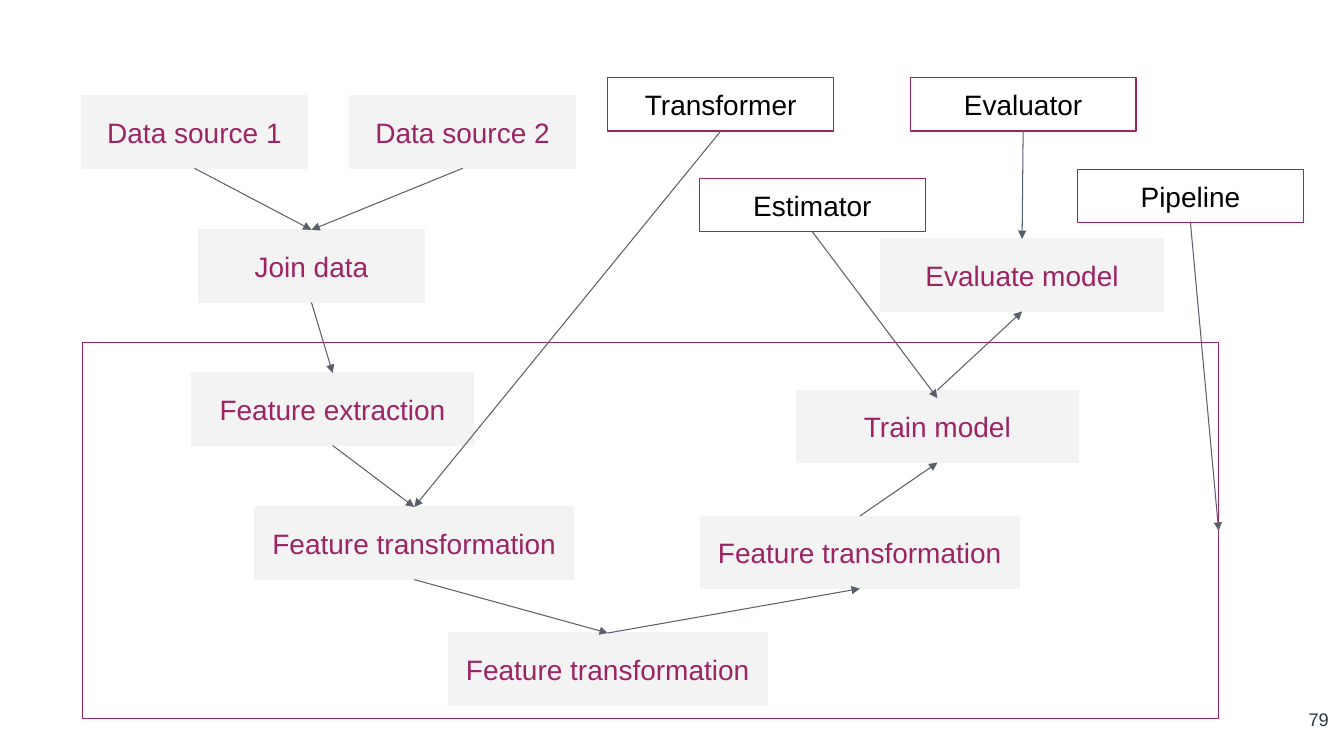
"""Build the machine learning pipeline slide."""
from dataclasses import dataclass
from typing import Optional

from lxml import etree
from pptx import Presentation
from pptx import util as u
from pptx.dml.color import RGBColor
from pptx.enum import shapes, text
from pptx.oxml.ns import qn

PLUM = RGBColor(0x9D, 0x24, 0x63)
PALE = RGBColor(0xF3, 0xF3, 0xF3)
SLATE = RGBColor(0x59, 0x60, 0x6C)
INK = RGBColor(0x2E, 0x36, 0x44)
BLACK = RGBColor(0, 0, 0)

CELL = u.Inches(0.1)
COLUMNS, ROWS = 133.33, 75
NARROW, MEDIUM, WIDE = 22.4, 28, 31.6
STEP_ROWS, LABEL_ROWS = 7.2, 5.3
TOP, BOTTOM, RIGHT = 0, 2, 3


@dataclass(frozen=True)
class Box:
    key: str
    caption: str
    column: float
    row: float
    columns: float = NARROW
    rows: float = STEP_ROWS
    fill: Optional[RGBColor] = PALE
    line: RGBColor = PALE
    ink: RGBColor = PLUM
    preset: shapes.MSO_SHAPE = shapes.MSO_SHAPE.FLOWCHART_PROCESS


@dataclass(frozen=True)
class Link:
    start: str
    end: str
    end_side: int = TOP
    start_side: int = BOTTOM
    inset: float = 0


def label(caption: str, column: float, row: float) -> Box:
    """Describe an outlined label for a pipeline concept."""
    return Box(caption, caption, column, row, rows=LABEL_ROWS,
               fill=None, line=PLUM, ink=BLACK)


STEPS = [
    Box("source 1", "Data source 1", 8.1, 9.5),
    Box("source 2", "Data source 2", 34.7, 9.5),
    Box("join", "Join data", 19.7, 22.8),
    Box("extract", "Feature extraction", 19, 37, MEDIUM),
    Box("transform 1", "Feature transformation", 25.3, 50.3, WIDE),
    Box("transform 2", "Feature transformation", 44.5, 62.8, WIDE),
    Box("transform 3", "Feature transformation", 69.5, 51.2, WIDE),
    Box("train", "Train model", 79, 38.7, MEDIUM),
    Box("evaluate", "Evaluate model", 87.4, 23.7, MEDIUM),
]
STEP_LINKS = [
    Link("source 1", "join"),
    Link("source 2", "join"),
    Link("join", "extract"),
    Link("extract", "transform 1"),
    Link("transform 1", "transform 2"),
    Link("transform 2", "transform 3", BOTTOM, TOP),
    Link("transform 3", "train", BOTTOM, TOP),
    Link("train", "evaluate", BOTTOM, TOP),
]
FRAME = Box("frame", "", 8.2, 34, 112.7, 37.3, fill=None, line=PLUM,
            preset=shapes.MSO_SHAPE.RECTANGLE)
LABELS = [
    label("Transformer", 60.3, 7.7),
    label("Estimator", 69.4, 17.7),
    label("Evaluator", 90.3, 7.7),
    label("Pipeline", 106.9, 16.8),
]
LABEL_LINKS = [
    Link("Transformer", "transform 1"),
    Link("Estimator", "train", inset=0.8),
    Link("Evaluator", "evaluate"),
    Link("Pipeline", "frame", RIGHT),
]


def cells(*counts: float) -> list[int]:
    """Convert grid counts to slide lengths."""
    return [round(count * CELL) for count in counts]


def write(shape, caption: str, *, size: float, color: RGBColor,
          align=text.PP_ALIGN.CENTER, anchor=text.MSO_ANCHOR.MIDDLE) -> None:
    """Put formatted text in a shape."""
    frame = shape.text_frame
    frame.word_wrap = True
    frame.vertical_anchor = anchor
    frame.margin_left = frame.margin_right = CELL
    frame.margin_top = frame.margin_bottom = CELL
    paragraph = frame.paragraphs[0]
    paragraph.alignment = align
    run = paragraph.add_run()
    run.text = caption
    run.font.name = "Arial"
    run.font.size = u.Pt(size)
    run.font.color.rgb = color


def draw_box(slide, box: Box):
    """Draw one box and return its shape."""
    shape = slide.shapes.add_shape(
        box.preset, *cells(box.column, box.row, box.columns, box.rows))
    shape.shadow.inherit = False
    if box.fill is None:
        shape.fill.background()
    else:
        shape.fill.solid()
        shape.fill.fore_color.rgb = box.fill
    shape.line.color.rgb = box.line
    shape.line.width = u.Pt(0.75)
    if box.caption:
        write(shape, box.caption, size=20, color=box.ink)
    return shape


def draw_link(slide, drawn: dict, link: Link) -> None:
    """Draw an arrow, ending inside the target when it has an inset."""
    target = drawn[link.end]
    connector = slide.shapes.add_connector(
        shapes.MSO_CONNECTOR.STRAIGHT, 0, 0,
        target.left + target.width // 2, target.top + cells(link.inset)[0])
    connector.begin_connect(drawn[link.start], link.start_side)
    if not link.inset:
        connector.end_connect(target, link.end_side)
    connector.line.color.rgb = SLATE
    connector.line.width = u.Pt(0.75)
    etree.SubElement(connector.line._get_or_add_ln(), qn("a:tailEnd"),
                     type="triangle")
    etree.SubElement(connector._element.spPr, qn("a:effectLst"))


def main() -> None:
    """Build and save the presentation."""
    presentation = Presentation()
    presentation.slide_width, presentation.slide_height = cells(COLUMNS, ROWS)
    slide = presentation.slides.add_slide(presentation.slide_layouts[6])
    drawn = {}
    for boxes, links in ((STEPS, STEP_LINKS), ([FRAME, *LABELS], LABEL_LINKS)):
        for box in boxes:
            drawn[box.key] = draw_box(slide, box)
        for link in links:
            draw_link(slide, drawn, link)
    number = slide.shapes.add_textbox(*cells(124.8, 69.3, 8, 5.7))
    write(number, "79", size=13, color=INK, align=text.PP_ALIGN.RIGHT,
          anchor=text.MSO_ANCHOR.TOP)
    presentation.save("out.pptx")


if __name__ == "__main__":
    main()
